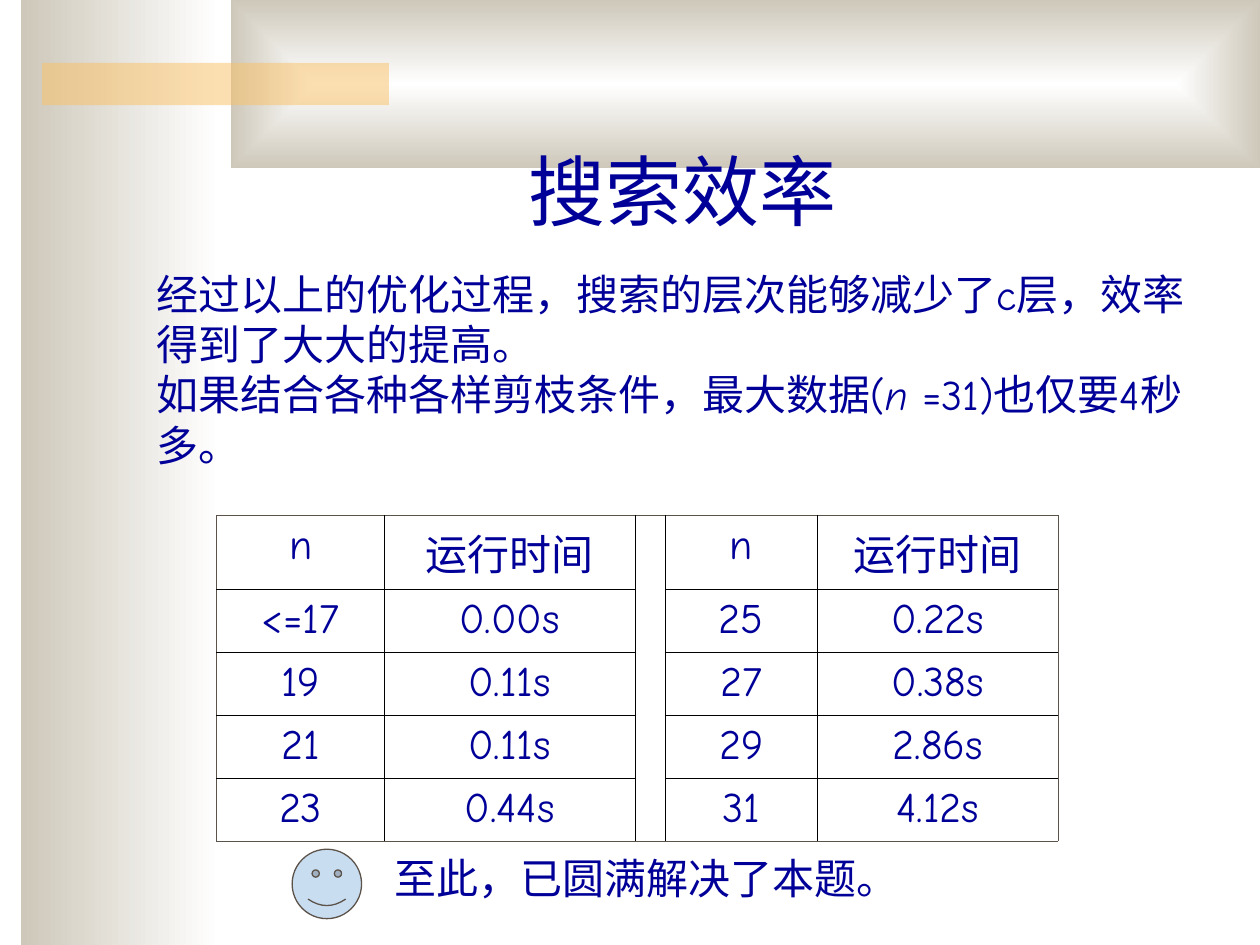
from pptx import Presentation
from pptx.dml.color import RGBColor
from pptx.enum.shapes import MSO_SHAPE
from pptx.enum.text import MSO_ANCHOR, MSO_AUTO_SIZE, PP_ALIGN
from pptx.oxml import parse_xml
from pptx.oxml.ns import nsdecls, qn
from pptx.util import Cm, Pt

RECTANGLE, SMILEY = MSO_SHAPE.RECTANGLE, MSO_SHAPE.SMILEY_FACE
BOTTOM, FIXED_SIZE = MSO_ANCHOR.BOTTOM, MSO_AUTO_SIZE.NONE
LEFT, CENTER = PP_ALIGN.LEFT, PP_ALIGN.CENTER
TITLE_ONLY = 5

COLORS = {"ink": "000099", "white": "FFFFFF", "sand": "CEC8BA", "orange": "FAC164",
          "face": "C9DDF1", "edge": "5B5249", "rule": "000000"}

INTRO = [
    [("经过以上的优化过程，搜索的层次能够减少了c层，效率得到了大大的提高。", False)],
    [("如果结合各种各样剪枝条件，最大数据(", False), ("n ", True), ("=31)也仅要4秒多。", False)],
]
TIMES = [
    ["n", "运行时间", "", "n", "运行时间"],
    ["<=17", "0.00s", "", "25", "0.22s"],
    ["19", "0.11s", "", "27", "0.38s"],
    ["21", "0.11s", "", "29", "2.86s"],
    ["23", "0.44s", "", "31", "4.12s"],
]
COLUMN_WIDTHS = [3.38, 5.05, 0.61, 3.07, 4.85]
ROW_HEIGHT = 1.27
GAP_COLUMN = 2


def rgb(name):
    return RGBColor.from_string(COLORS[name])


class SlideBuilder:
    def __init__(self, page, font="Comic Neue", size=24):
        self.page = page
        self.font = font
        self.size = size

    def style(self, para, size=None, font=None, align=LEFT):
        para.alignment = align
        for span in para.runs:
            span.font.name = font or self.font
            span.font.size = Pt(size or self.size)
            span.font.color.rgb = rgb("ink")

    def shape(self, kind, left, top, width, height):
        shape = self.page.shapes.add_shape(kind, Cm(left), Cm(top), Cm(width), Cm(height))
        shape.shadow.inherit = False
        shape.line.fill.background()
        return shape

    def gradient_panel(self, left, top, width, height, framed=False):
        panel = self.shape(RECTANGLE, left, top, width, height)
        panel.fill.gradient()
        panel.fill.gradient_angle = 180
        for stop, name in zip(panel.fill.gradient_stops, ("white", "sand")):
            stop.color.rgb = rgb(name)
        if framed:
            linear = panel.fill._xPr.find(qn("a:gradFill")).find(qn("a:lin"))
            linear.getparent().replace(linear, parse_xml(
                f'<a:path {nsdecls("a")} path="rect">'
                '<a:fillToRect l="50000" t="50000" r="50000" b="50000"/></a:path>'))

    def translucent_bar(self, left, top, width, height, name, opacity):
        bar = self.shape(RECTANGLE, left, top, width, height)
        bar.fill.solid()
        bar.fill.fore_color.rgb = rgb(name)
        color = bar.fill._xPr.find(qn("a:solidFill")).find(qn("a:srgbClr"))
        color.append(parse_xml(f'<a:alpha {nsdecls("a")} val="{opacity * 1000}"/>'))

    def smiley(self, left, top, size):
        face = self.shape(SMILEY, left, top, size, size)
        face.fill.solid()
        face.fill.fore_color.rgb = rgb("face")
        face.line.color.rgb = rgb("edge")
        face.line.width = Pt(0.75)

    def title(self, text, left, top, width, height):
        box = self.page.shapes.title
        self.page.shapes._spTree.append(box._element)
        box.left, box.top, box.width, box.height = Cm(left), Cm(top), Cm(width), Cm(height)
        frame = box.text_frame
        frame.text = text
        frame.auto_size = FIXED_SIZE
        frame.vertical_anchor = BOTTOM
        self.style(frame.paragraphs[0], size=44, align=CENTER)

    def text(self, paragraphs, left, top, width, height, font=None):
        box = self.page.shapes.add_textbox(Cm(left), Cm(top), Cm(width), Cm(height))
        frame = box.text_frame
        frame.word_wrap = True
        for index, spans in enumerate(paragraphs):
            para = frame.add_paragraph() if index else frame.paragraphs[0]
            for words, italic in spans:
                span = para.add_run()
                span.text = words
                span.font.italic = italic
            self.style(para, font=font)

    def borders(self, cell, outer):
        properties = cell._tc.get_or_add_tcPr()
        for index, side in enumerate("LRTB"):
            color = COLORS["edge" if side in outer else "rule"]
            properties.insert(index, parse_xml(
                f'<a:ln{side} {nsdecls("a")} w="5715"><a:solidFill>'
                f'<a:srgbClr val="{color}"/></a:solidFill></a:ln{side}>'))

    def table(self, rows, left, top, widths, row_height):
        last_row, last_column = len(rows) - 1, len(widths) - 1
        table = self.page.shapes.add_table(
            len(rows), len(widths), Cm(left), Cm(top),
            Cm(sum(widths)), Cm(row_height * len(rows))).table
        table.first_row = table.horz_banding = False
        for column, width in zip(table.columns, widths):
            column.width = Cm(width)
        for r, values in enumerate(rows):
            for c, value in enumerate(values):
                cell = table.cell(r, c)
                cell.fill.background()
                cell.text_frame.text = value
                self.style(cell.text_frame.paragraphs[0], align=CENTER)
                edges = {"L": c == 0, "R": c == last_column, "T": r == 0, "B": r == last_row}
                self.borders(cell, [side for side, outer in edges.items() if outer])
        table.cell(0, GAP_COLUMN).merge(table.cell(last_row, GAP_COLUMN))
        self.borders_of_gap(table.cell(0, GAP_COLUMN))

    def borders_of_gap(self, cell):
        properties = cell._tc.get_or_add_tcPr()
        for side in "LRTB":
            properties.remove(properties.find(qn(f"a:ln{side}")))
        self.borders(cell, "TB")


def main():
    deck = Presentation()
    deck.slide_width, deck.slide_height = Cm(25.4), Cm(19.05)
    page = deck.slides.add_slide(deck.slide_layouts[TITLE_ONLY])
    builder = SlideBuilder(page)
    builder.gradient_panel(0.43, 0, 4.01, 19.05)
    builder.gradient_panel(4.65, 0, 20.75, 3.39, framed=True)
    builder.translucent_bar(0.85, 1.27, 6.99, 0.85, "orange", 50)
    builder.text(INTRO, 2.9, 5.28, 21.44, 4.42)
    builder.title("搜索效率", 2.97, 2.34, 21.59, 2.54)
    builder.table(TIMES, 4.37, 10.39, COLUMN_WIDTHS, ROW_HEIGHT)
    builder.smiley(5.89, 17.12, 1.4)
    builder.text([[("至此，已圆满解决了本题。", False)]], 7.7, 17.07, 12.19, 1.27,
                 font="Times New Roman")
    deck.save("out.pptx")


if __name__ == "__main__":
    main()
